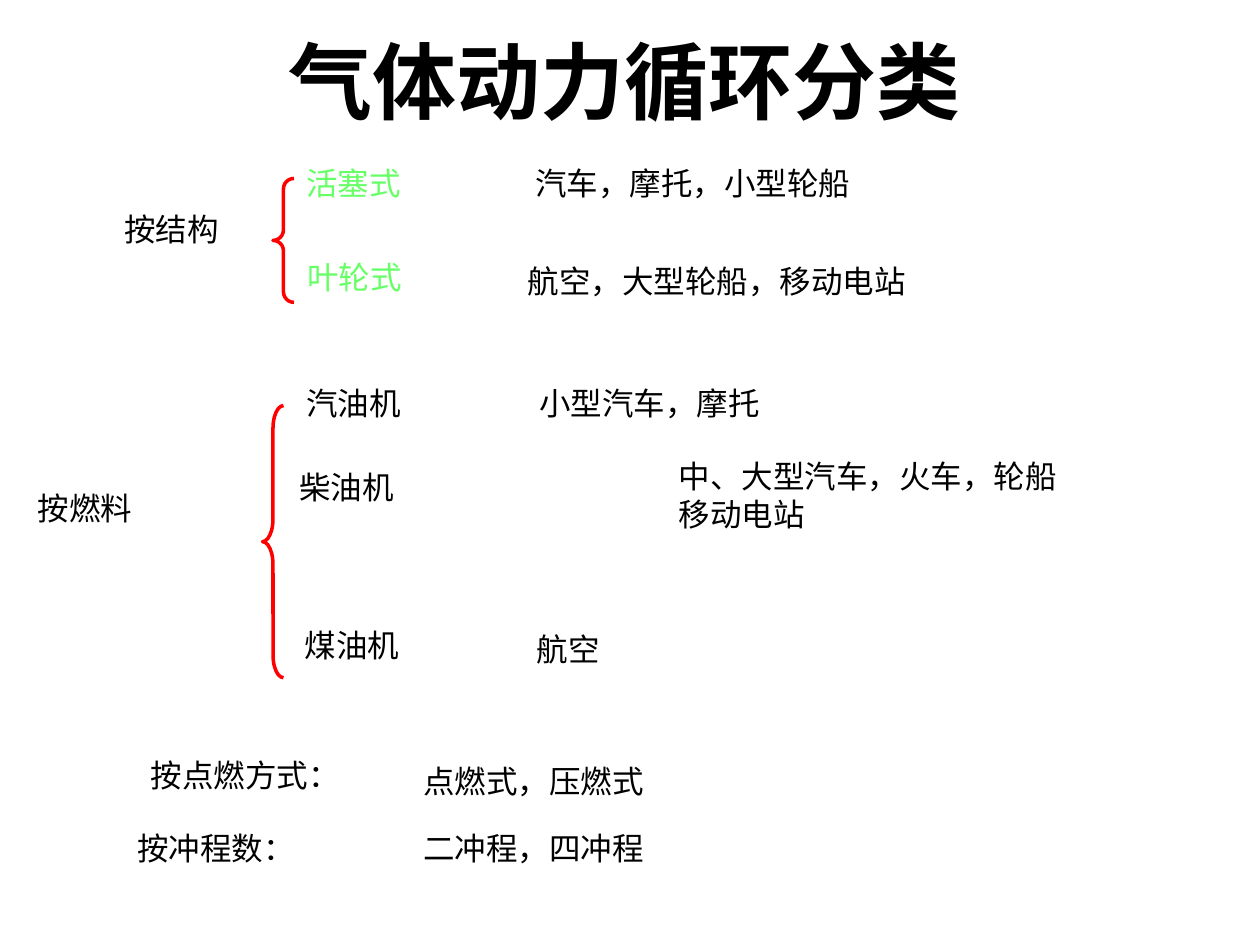
from pptx import Presentation
from pptx.dml.color import RGBColor
from pptx.enum.shapes import MSO_SHAPE
from pptx.enum.text import MSO_ANCHOR, PP_ALIGN
from pptx.util import Pt

LEFT_BRACE = MSO_SHAPE.LEFT_BRACE
MIDDLE, TOP = MSO_ANCHOR.MIDDLE, MSO_ANCHOR.TOP
CENTER, LEFT = PP_ALIGN.CENTER, PP_ALIGN.LEFT
BLACK, GREEN, RED = "000000", "66FF66", "FF0000"
LINE_H = 28.8


def rgb(value):
    return RGBColor.from_string(value)


def add_text(s, text, x, y, w, h=LINE_H, size=18, font="Arial", color=BLACK,
             bold=False, align=LEFT, anchor=TOP, inset=7.2, wrap=True):
    tf = s.shapes.add_textbox(Pt(x), Pt(y), Pt(w), Pt(h)).text_frame
    tf.word_wrap = wrap
    tf.vertical_anchor = anchor
    tf.margin_left = tf.margin_right = Pt(inset)
    tf.margin_top = tf.margin_bottom = Pt(3.6)
    for i, line in enumerate(text.split("\n")):
        p = tf.add_paragraph() if i else tf.paragraphs[0]
        p.alignment = align
        r = p.add_run()
        r.text = line
        r.font.size = Pt(size)
        r.font.name = font
        r.font.bold = bold
        r.font.color.rgb = rgb(color)


def add_brace(s, x, y, h, curve, w=12):
    sp = s.shapes.add_shape(LEFT_BRACE, Pt(x), Pt(y), Pt(w), Pt(h))
    sp.shadow.inherit = False
    sp.fill.background()
    sp.line.color.rgb = rgb(RED)
    sp.line.width = Pt(2)
    sp.adjustments[0] = curve / w


def add_structure(s):
    add_text(s, "按结构", 64, 116.6, 68.4, wrap=False)
    add_brace(s, 156, 102, 70.8, curve=6)
    add_text(s, "活塞式", 168, 90, 120, color=GREEN)
    add_text(s, "叶轮式", 168.5, 144, 68.4, color=GREEN, wrap=False)
    add_text(s, "汽车，摩托，小型轮船", 306, 90, 335.5, inset=0)
    add_text(s, "航空，大型轮船，移动电站", 301.7, 146.2, 400, inset=0)


def add_fuel(s):
    add_text(s, "按燃料", 14.4, 275.8, 153.4)
    add_brace(s, 150, 231.8, 155.5, curve=13)
    for name, x, y in [("汽油机", 168, 216), ("柴油机", 164, 264.2),
                       ("煤油机", 167, 354.2)]:
        add_text(s, name, x, y, 110.9)
    add_text(s, "小型汽车，摩托", 301, 216, 285.8)
    add_text(s, "中、大型汽车，火车，轮船\n移动电站", 380.9, 257.8, 230.4, 50.4,
             wrap=False)
    add_text(s, "航空", 299.5, 356.4, 78.5)


def add_ignition_and_strokes(s):
    add_text(s, "按点燃方式：", 79.2, 428.4, 122.4, wrap=False)
    add_text(s, "点燃式，压燃式", 234.7, 432, 239)
    add_text(s, "按冲程数：", 71.3, 470.2, 104.4, wrap=False)
    add_text(s, "二冲程，四冲程", 234.7, 470.2, 239)


def main():
    prs = Presentation()
    prs.slide_width, prs.slide_height = Pt(720), Pt(540)
    s = prs.slides.add_slide(prs.slide_layouts[6])
    add_text(s, "气体动力循环分类", 41.8, 13, 630, 64.8, size=48,
             font="Calibri", bold=True, align=CENTER, anchor=MIDDLE)
    add_structure(s)
    add_fuel(s)
    add_ignition_and_strokes(s)
    prs.save("out.pptx")


if __name__ == "__main__":
    main()
